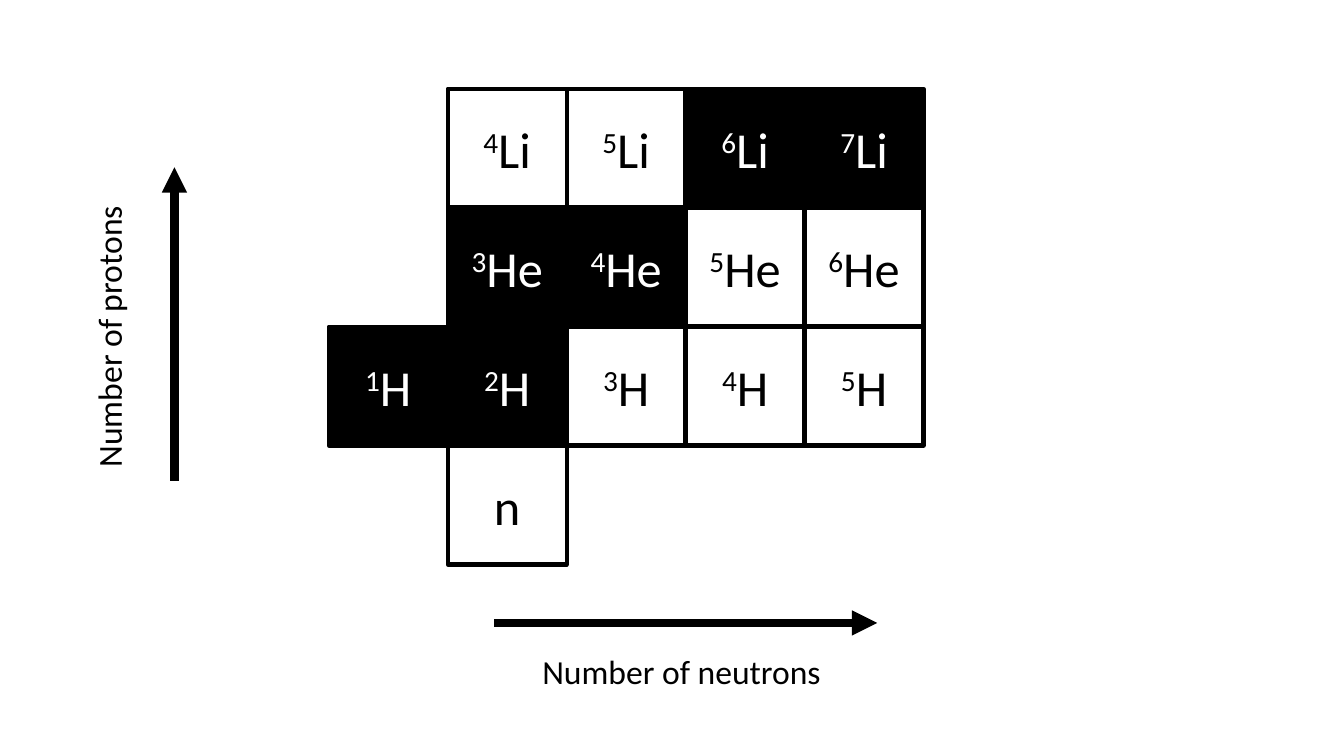
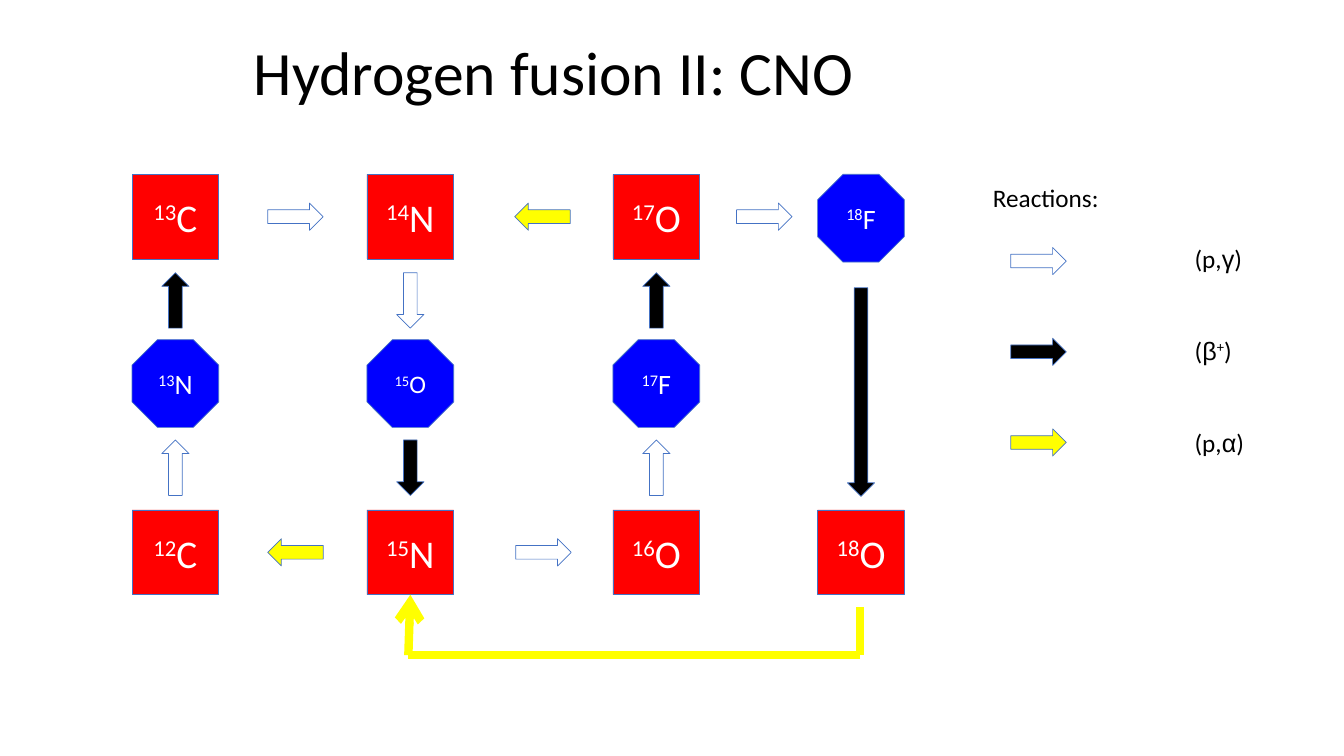
from lxml.etree import SubElement
from pptx import Presentation
from pptx.dml.color import RGBColor
from pptx.enum.shapes import MSO_CONNECTOR, MSO_SHAPE as Shape
from pptx.enum.text import MSO_ANCHOR as Anchor, PP_ALIGN as Align
from pptx.oxml.ns import qn
from pptx.util import Inches, Pt

BLACK, WHITE, RED, BLUE, YELLOW = "000000", "FFFFFF", "FF0000", "0000FF", "FFFF00"
OUTLINE = "4472C4"
REACTIONS = {"p,γ": WHITE, "β+": BLACK, "p,α": YELLOW}
ARROWS = {
    "up": Shape.UP_ARROW,
    "down": Shape.DOWN_ARROW,
    "left": Shape.LEFT_ARROW,
    "right": Shape.RIGHT_ARROW,
}


def color(hex_code):
    return RGBColor.from_string(hex_code)


def set_format(target, values):
    for name, value in values.items():
        setattr(target, name, value)


class Deck:
    font = "Calibri"

    def __init__(self):
        self.prs = Presentation()
        set_format(self.prs, {"slide_width": Inches(13.33), "slide_height": Inches(7.5)})
        self.slide = None

    def new_slide(self):
        self.slide = self.prs.slides.add_slide(self.prs.slide_layouts[6])

    def add_runs(self, paragraph, runs, size, ink=BLACK):
        for text, style in runs:
            run = paragraph.add_run()
            run.text = text
            name = "Arial" if style == "greek" else self.font
            set_format(run.font, {"name": name, "size": Pt(size)})
            run.font.color.rgb = color(ink)
            if style == "super":
                run._r.get_or_add_rPr().set("baseline", "30000")

    def text(self, box, content, size, rotation=0, **frame_format):
        label = self.slide.shapes.add_textbox(*map(Inches, box))
        label.rotation = rotation
        set_format(label.text_frame, {"word_wrap": True, **frame_format})
        paragraph = label.text_frame.paragraphs[0]
        self.add_runs(paragraph, [(content, "")], size)
        return label.text_frame

    def shape(self, kind, box, fill, line=OUTLINE, weight=0.5):
        item = self.slide.shapes.add_shape(kind, *map(Inches, box))
        item.shadow.inherit = False
        if fill:
            item.fill.solid()
            item.fill.fore_color.rgb = color(fill)
        else:
            item.fill.background()
        item.line.color.rgb = color(line)
        item.line.width = Pt(weight)
        return item

    def nuclide(self, kind, box, mass, symbol, size, fill, ink=WHITE, **outline):
        frame = self.shape(kind, box, fill, **outline).text_frame
        set_format(frame, {"word_wrap": True, "vertical_anchor": Anchor.MIDDLE})
        paragraph = frame.paragraphs[0]
        paragraph.alignment = Align.CENTER
        runs = [(mass, "super")] if mass else []
        self.add_runs(paragraph, runs + [(symbol, "")], size, ink)

    def arrow(self, direction, x, y, reaction, length=0.55):
        upright = direction in ("up", "down")
        width, height = (0.27, length) if upright else (length, 0.27)
        box = (x - width / 2, y - height / 2, width, height)
        self.shape(ARROWS[direction], box, REACTIONS[reaction])

    def line(self, start, end, ink, head=None):
        connector = self.slide.shapes.add_connector(
            MSO_CONNECTOR.STRAIGHT, *map(Inches, (*start, *end)))
        connector.line.color.rgb = color(ink)
        connector.line.width = Pt(6)
        if head:
            SubElement(connector.line._get_or_add_ln(), qn("a:tailEnd"), type=head)
        SubElement(connector._element.spPr, qn("a:effectLst"))


def nuclide_chart(deck):
    deck.new_slide()
    deck.line((1.73, 4.77), (1.73, 1.66), BLACK, "triangle")
    deck.line((4.9, 6.18), (8.7, 6.18), BLACK, "triangle")
    deck.text((5.28, 6.41, 3.05, 0.5), "Number of neutrons", 24)
    deck.text((-0.45, 2.96, 3.05, 0.5), "Number of protons", 24, rotation=270)

    cell, left, top = 1.18, 3.26, 0.88
    stable = {"1H", "2H", "3He", "4He", "6Li", "7Li"}
    element_rows = [
        ("Li", 1, range(4, 8)),
        ("He", 1, range(3, 7)),
        ("H", 0, range(1, 6)),
        ("n", 1, [""]),
    ]
    for row, (symbol, first_column, masses) in enumerate(element_rows):
        for column, mass in enumerate(masses, first_column):
            is_stable = f"{mass}{symbol}" in stable
            box = (left + column * cell, top + row * cell, cell, cell)
            deck.nuclide(Shape.RECTANGLE, box, str(mass), symbol, 36,
                         BLACK if is_stable else None,
                         WHITE if is_stable else BLACK, line=BLACK, weight=3)


def reaction_legend(deck):
    frame = deck.text((9.75, 1.76, 3.42, 2.83), "Reactions:", 18)
    entries = [
        (22, [("(p,", ""), ("γ", "greek"), (")", "")]),
        (44, [("(", ""), ("β", "greek"), ("+", "super"), (")", "")]),
        (44, [("(p,", ""), ("α", "greek"), (")", "")]),
    ]
    for row, ((gap, runs), reaction) in enumerate(zip(entries, REACTIONS)):
        paragraph = frame.add_paragraph()
        paragraph.space_before = Pt(gap)
        paragraph._p.get_or_add_pPr().set("marL", str(Inches(2)))
        deck.add_runs(paragraph, runs, 18)
        deck.arrow("right", 10.3, 2.59 + row * 0.9, reaction)


def cno_cycle(deck):
    deck.new_slide()
    title = deck.text((2.42, 0.3, 8.5, 0.89), "Hydrogen fusion II: CNO", 44,
                      vertical_anchor=Anchor.MIDDLE)
    title.paragraphs[0].line_spacing = 0.9

    columns, rows, width = (1.31, 3.64, 6.08, 8.11), (1.73, 3.37, 5.06), 0.86
    centers = [x + width / 2 for x in columns]
    stable_nuclides = [
        (0, 0, "13", "C"), (1, 0, "14", "N"), (2, 0, "17", "O"),
        (0, 2, "12", "C"), (1, 2, "15", "N"), (2, 2, "16", "O"), (3, 2, "18", "O"),
    ]
    for column, row, mass, symbol in stable_nuclides:
        box = (columns[column], rows[row], width, 0.84)
        deck.nuclide(Shape.RECTANGLE, box, mass, symbol, 28, RED)
    unstable_nuclides = [
        (0, 1, "13", "N", 20), (1, 1, "15", "O", 18),
        (2, 1, "17", "F", 20), (3, 0, "18", "F", 20),
    ]
    for column, row, mass, symbol, size in unstable_nuclides:
        box = (columns[column], rows[row], width, 0.87)
        deck.nuclide(Shape.OCTAGON, box, mass, symbol, size, BLUE)

    vertical_steps = [("up", "β+", "p,γ"), ("down", "p,γ", "β+"), ("up", "β+", "p,γ")]
    for x, (direction, *reactions) in zip(centers, vertical_steps):
        for y, reaction in zip((2.98, 4.64), reactions):
            deck.arrow(direction, x, y, reaction)
    deck.arrow("down", centers[3], 3.89, "β+", length=2.07)

    horizontal_steps = [
        (2.93, 2.15, "right", "p,γ"), (5.38, 2.15, "left", "p,α"),
        (7.58, 2.15, "right", "p,γ"), (2.93, 5.48, "left", "p,α"),
        (5.39, 5.48, "right", "p,γ"),
    ]
    for x, y, direction, reaction in horizontal_steps:
        deck.arrow(direction, x, y, reaction)

    deck.line((8.53, 6.02), (8.53, 6.5), YELLOW)
    deck.line((8.53, 6.5), (4.05, 6.5), YELLOW)
    deck.line((4.05, 6.5), (4.07, 5.9), YELLOW, "arrow")
    reaction_legend(deck)


def main():
    deck = Deck()
    nuclide_chart(deck)
    cno_cycle(deck)
    deck.prs.save("out.pptx")


if __name__ == "__main__":
    main()
